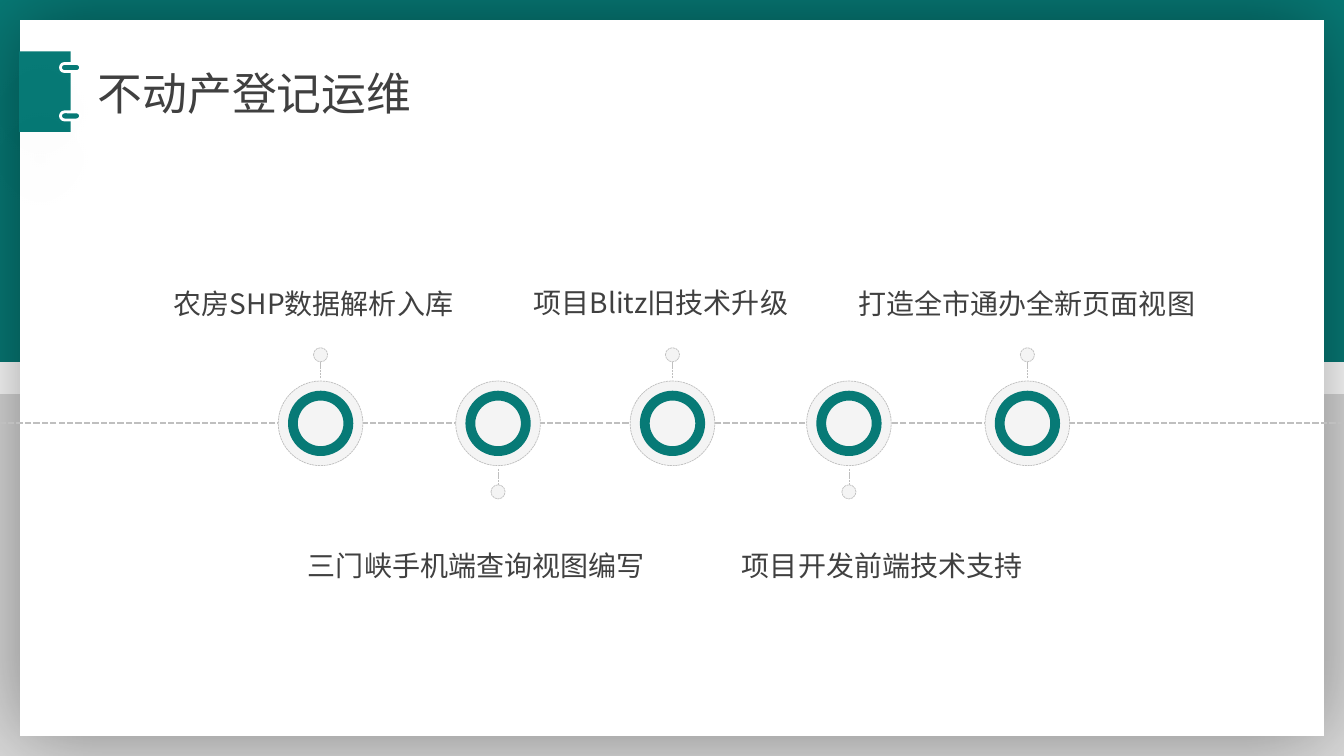
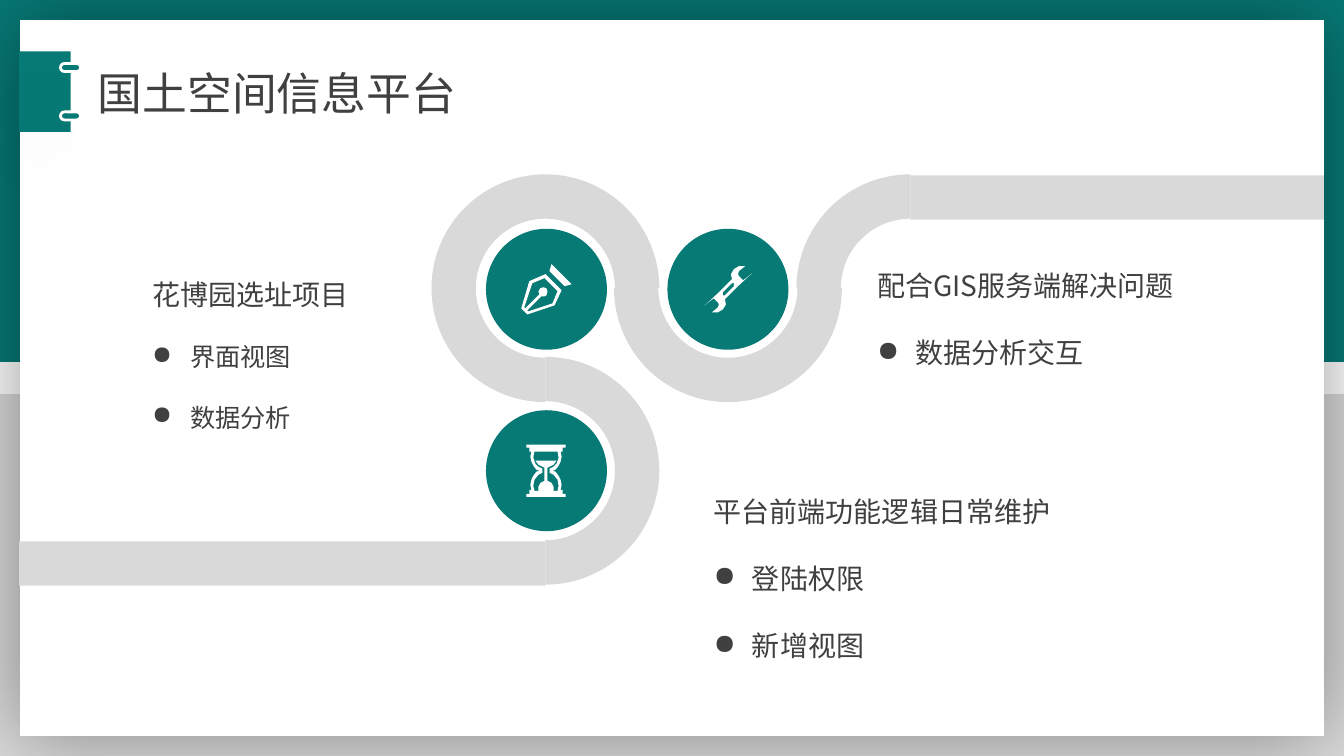
"""Build two project slides: a timeline and a winding road with three stops."""
from lxml.etree import SubElement
from pptx import Presentation
from pptx.dml.color import RGBColor
from pptx.enum.dml import MSO_LINE
from pptx.enum.shapes import MSO_CONNECTOR, MSO_SHAPE as SHAPE
from pptx.enum.text import MSO_AUTO_SIZE, PP_ALIGN as ALIGN
from pptx.oxml.ns import qn
from pptx.util import Inches, Pt

COLORS = {
    "teal": "077A76", "band": "DADADA", "white": "FFFFFF", "text": "404040",
    "road": "D9D9D9", "rule": "BFBFBF", "pale": "F4F4F4", "shadow": "000000",
}
FONT = "Noto Sans CJK SC"


def style(item, fill=None, line=None, weight=0.5, dash=None, shadow=None):
    if fill:
        item.fill.solid()
        item.fill.fore_color.rgb = RGBColor.from_string(COLORS[fill])
    if line:
        item.line.color.rgb = RGBColor.from_string(COLORS[line])
        item.line.width = Pt(weight)
        item.line.dash_style = dash
    else:
        item.line.fill.background()
    effects = SubElement(item._element.spPr, qn("a:effectLst"))
    if shadow:
        alpha, blur, distance, angle = shadow
        outer = SubElement(effects, qn("a:outerShdw"), blurRad=str(Pt(blur)),
                           dist=str(Pt(distance)), dir=str(angle * 60000),
                           algn="ctr", rotWithShape="0")
        color = SubElement(outer, qn("a:srgbClr"), val=COLORS["shadow"])
        SubElement(color, qn("a:alpha"), val=str(alpha * 1000))
    return item


def put_text(page, box, lines, size=20, bullet_size=20, align=ALIGN.LEFT, spacing=2.0):
    frame = page.shapes.add_textbox(*map(Inches, box)).text_frame
    frame.word_wrap = True
    frame.auto_size = MSO_AUTO_SIZE.SHAPE_TO_FIT_TEXT
    for index, line in enumerate(lines):
        para = frame.add_paragraph() if index else frame.paragraphs[0]
        para.alignment = align
        para.line_spacing = spacing
        span = para.add_run()
        span.text = line
        span.font.size = Pt(bullet_size if index else size)
        span.font.name = FONT
        span.font.color.rgb = RGBColor.from_string(COLORS["text"])
        SubElement(span.font._element, qn("a:ea"), typeface=FONT)
        if index:
            props = para._p.get_or_add_pPr()
            props.set("marL", str(Inches(0.38)))
            props.set("indent", str(Inches(-0.38)))
            SubElement(props, qn("a:buChar"), char="●")


deck = Presentation()
deck.slide_width, deck.slide_height = Inches(13.33), Inches(7.5)

backdrop = [
    ((0, 0, 13.33, 3.59), "teal", None),
    ((0, 3.91, 13.33, 3.59), "band", None),
    ((0.2, 0.2, 12.93, 7.1), "white", (40, 63, 0, 260)),
    ((0.19, 0.51, 0.51, 0.8), "teal", None),
]
pages = []
for title in ("不动产登记运维", "国土空间信息平台"):
    page = deck.slides.add_slide(deck.slide_layouts[6])
    pages.append(page)
    for box, fill, shadow in backdrop:
        panel = page.shapes.add_shape(SHAPE.RECTANGLE, *map(Inches, box))
        style(panel, fill, shadow=shadow)
    for top in (0.63, 1.11):
        box = (0.6, top, 0.2, 0.08)
        clip = page.shapes.add_shape(SHAPE.ROUNDED_RECTANGLE, *map(Inches, box))
        clip.adjustments[0] = 0.5
        style(clip, "teal", "white", 2, shadow=(13, 45, 38, 125))
    put_text(page, (0.87, 0.6, 4.48, 0.64), [title], size=32, spacing=None)

timeline, road = pages

AXIS = 4.2
dashed = {"line": "rule", "dash": MSO_LINE.SQUARE_DOT}
axis = timeline.shapes.add_connector(
    MSO_CONNECTOR.STRAIGHT, *map(Inches, (13.33, AXIS, 0, AXIS)))
style(axis, weight=1.5, **dashed)

milestones = [
    (3.18, -1, "农房SHP数据解析入库", (1.03, 2.46, 4.16, 0.68)),
    (4.94, 1, "三门峡手机端查询视图编写", (2.76, 5.06, 3.93, 0.68)),
    (6.67, -1, "项目Blitz旧技术升级", (5.01, 2.45, 3.09, 0.67)),
    (8.42, 1, "项目开发前端技术支持", (6.94, 5.06, 3.62, 0.67)),
    (10.19, -1, "打造全市通办全新页面视图", (8.4, 2.46, 3.57, 0.68)),
]
for center, side, label, label_box in milestones:
    ends = (center, AXIS + side * 0.45, center, AXIS + side * 0.61)
    stem = timeline.shapes.add_connector(MSO_CONNECTOR.STRAIGHT, *map(Inches, ends))
    style(stem, **dashed)
    circles = [
        (AXIS + side * 0.68, 0.14, dashed),
        (AXIS, 0.84, dashed),
        (AXIS, 0.55, {"line": "teal", "weight": 7}),
    ]
    for middle, size, outline in circles:
        box = (center - size / 2, middle - size / 2, size, size)
        circle = timeline.shapes.add_shape(SHAPE.OVAL, *map(Inches, box))
        style(circle, "pale", **outline)
    put_text(timeline, label_box, [label], align=ALIGN.CENTER)

RADIUS, THICKNESS = 1.13, 0.44
bends = [
    (9.03, 2.86, 180, 270),
    (7.22, 2.86, 0, 180),
    (5.41, 2.86, 90, 0),
    (5.41, 4.67, 270, 90),
]
for x, y, start, end in bends:
    box = (x - RADIUS, y - RADIUS, 2 * RADIUS, 2 * RADIUS)
    bend = road.shapes.add_shape(SHAPE.BLOCK_ARC, *map(Inches, box))
    bend.adjustments[0] = start * 0.6
    bend.adjustments[1] = end * 0.6
    bend.adjustments[2] = THICKNESS / (2 * RADIUS)
    style(bend, "road")
for left, top, width in ((9.03, 1.74, 4.1), (0.19, 5.37, 5.22)):
    box = (left, top, width, THICKNESS)
    straight = road.shapes.add_shape(SHAPE.RECTANGLE, *map(Inches, box))
    style(straight, "road")
for left, top in ((6.62, 2.27), (4.82, 2.27), (4.82, 4.07)):
    stop = road.shapes.add_shape(SHAPE.OVAL, *map(Inches, (left, top, 1.2, 1.2)))
    style(stop, "teal")

pen = [
    [(567, 282), (560, 284), (545, 269), (547, 262)],
    [(541, 272), (557, 288), (550, 303), (523, 312), (517, 306), (525, 279)],
    [(553, 289), (540, 276), (528, 281), (520, 305), (521, 306), (535, 292),
     (534, 289), (536, 286), (539, 285), (542, 286), (543, 289), (542, 293),
     (540, 294), (537, 294), (523, 308), (524, 309), (548, 301)],
]

glass_corner = [(522, 441), (522, 444), (525, 444), (525, 448), (527, 448),
                (526, 453), (527, 458), (529, 462), (532, 466), (535, 467)]
glass_left = glass_corner + [(x, 934 - y) for x, y in reversed(glass_corner)]
hollow_right = [(553, 448), (554, 454), (552, 460), (549, 463), (545, 465),
                (545, 469), (549, 471), (553, 476), (554, 482), (553, 487),
                (549, 487), (549, 483), (547, 479), (543, 477), (543, 464),
                (549, 461), (552, 457)]
hourglass = [half + [(1083 - x, y) for x, y in reversed(half)]
             for half in (glass_left, hollow_right)]

wrench_half = [(746, 271), (740, 276), (737, 278), (735, 276), (733, 274),
               (732, 272), (733, 269), (739, 264), (733, 264), (728, 267),
               (725, 272), (726, 277), (712, 291)]
wrench = [
    wrench_half + [(1445 - x, 574 - y) for x, y in wrench_half],
    [(728, 284), (719, 293), (717, 293), (717, 290), (726, 281), (728, 281)],
]

for icon in (pen, hourglass, wrench):
    builder = road.shapes.build_freeform(*icon[0][0], scale=Inches(0.01))
    for index, outline in enumerate(icon):
        if index:
            builder.move_to(*outline[0])
        builder.add_line_segments(outline[1:], close=True)
    style(builder.convert_to_shape(), "white")

put_text(road, (8.6, 2.28, 4.01, 1.45), ["配合GIS服务端解决问题", "数据分析交互"])
put_text(road, (1.41, 2.37, 3.65, 1.99),
         ["花博园选址项目", "界面视图", "数据分析"], bullet_size=18)
put_text(road, (6.98, 4.52, 4.01, 2.12),
         ["平台前端功能逻辑日常维护", "登陆权限", "新增视图"])

deck.save("out.pptx")
